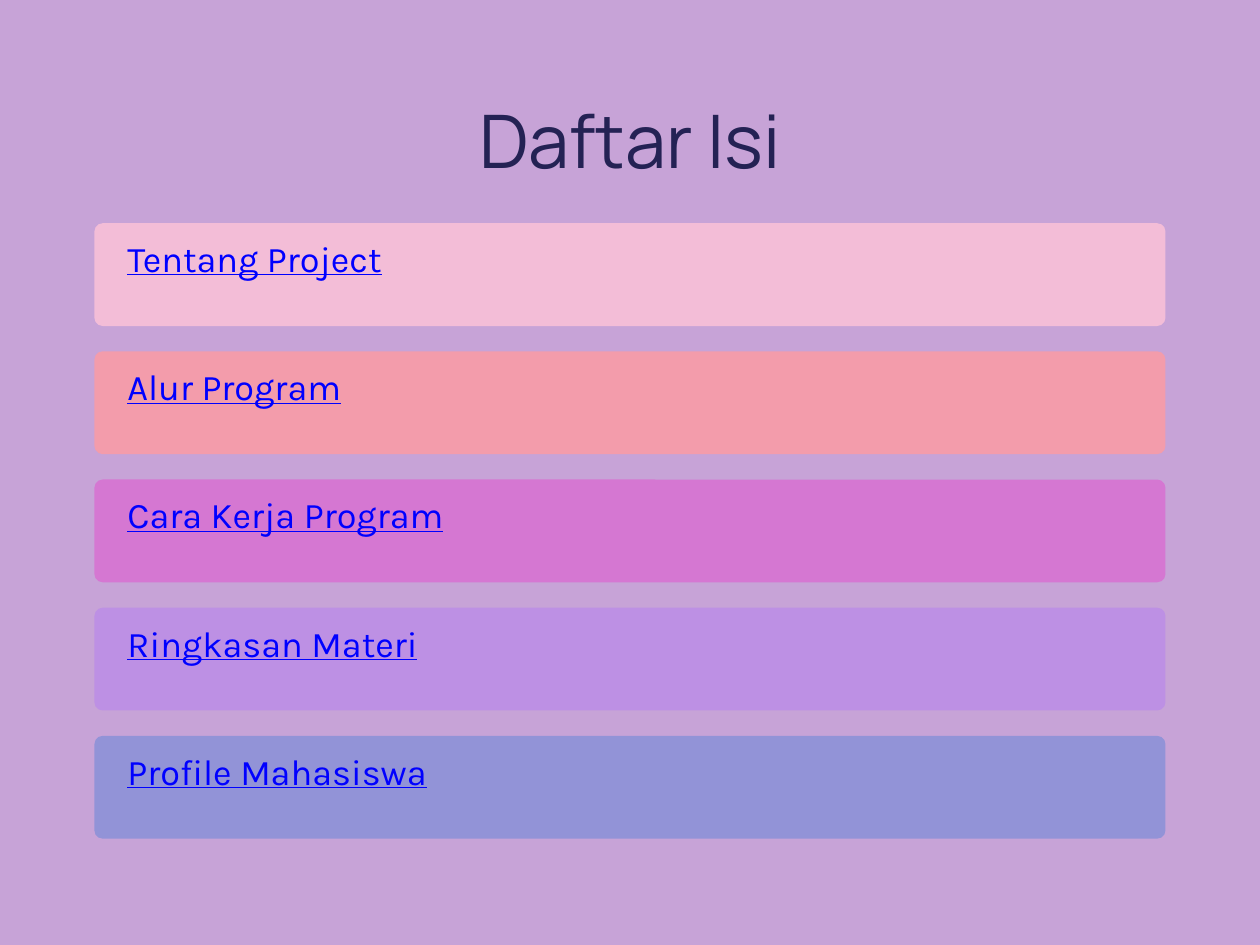
"""Build the "Daftar Isi" table of contents slide."""
from pptx import Presentation
from pptx.dml.color import RGBColor
from pptx.enum import shapes, text
from pptx.util import Inches, Pt

BACKGROUND = RGBColor(0xC7, 0xA3, 0xD7)
NAVY = RGBColor(0x24, 0x22, 0x54)
LINK_BLUE = RGBColor(0x00, 0x00, 0xFF)

TITLE = "Daftar Isi"
ENTRIES = [
    ("Tentang Project", RGBColor(0xF3, 0xBD, 0xD7)),
    ("Alur Program", RGBColor(0xF3, 0x9C, 0xAB)),
    ("Cara Kerja Program", RGBColor(0xD5, 0x77, 0xD2)),
    ("Ringkasan Materi", RGBColor(0xBD, 0x90, 0xE4)),
    ("Profile Mahasiswa", RGBColor(0x92, 0x93, 0xD7)),
]

LEFT, WIDTH = 0.8, 9.07
FIRST_BOTTOM, LAST_BOTTOM = 2.76, 7.1
PITCH = (LAST_BOTTOM - FIRST_BOTTOM) / (len(ENTRIES) - 1)
BAR_HEIGHT, LABEL_HEIGHT = 0.87, 1.21
CORNER, PADDING = 0.07, 0.28


def add_text(parent, box, wording, font_name, size, color, spacing, inset=0):
    """Add a one-line text box and return it."""
    shape = parent.add_textbox(*map(Inches, box))
    frame = shape.text_frame
    frame.word_wrap = True
    frame.margin_left = frame.margin_right = Inches(inset)
    frame.margin_top = frame.margin_bottom = Inches(inset)
    frame.text = wording
    paragraph = frame.paragraphs[0]
    paragraph.line_spacing = Pt(spacing)
    font = paragraph.runs[0].font
    font.name, font.size = font_name, Pt(size)
    font.color.rgb = color
    return shape


def add_entry(slide, bottom, wording, color):
    """Add one coloured bar with its underlined label."""
    group = slide.shapes.add_group_shape().shapes
    bar_box = (LEFT, bottom - BAR_HEIGHT, WIDTH, BAR_HEIGHT)
    bar = group.add_shape(shapes.MSO_SHAPE.ROUNDED_RECTANGLE, *map(Inches, bar_box))
    bar.adjustments[0] = CORNER / BAR_HEIGHT
    bar.shadow.inherit = False
    bar.fill.solid()
    bar.fill.fore_color.rgb = color
    bar.line.fill.background()

    label_box = (LEFT, bottom - LABEL_HEIGHT, WIDTH, LABEL_HEIGHT)
    label = add_text(group, label_box, wording, "Karla", 22, LINK_BLUE, 30.8, PADDING)
    label.text_frame.vertical_anchor = text.MSO_ANCHOR.MIDDLE
    label.text_frame.paragraphs[0].runs[0].font.underline = True


def main():
    """Assemble and save the presentation."""
    presentation = Presentation()
    presentation.slide_width, presentation.slide_height = Inches(10.67), Inches(8)
    slide = presentation.slides.add_slide(presentation.slide_layouts[6])
    slide.background.fill.solid()
    slide.background.fill.fore_color.rgb = BACKGROUND

    title = add_text(slide.shapes, (3.04, 0.8, 4.59, 0.75), TITLE, "Manrope", 45, NAVY, 54)
    title.text_frame.auto_size = text.MSO_AUTO_SIZE.SHAPE_TO_FIT_TEXT
    title.text_frame.paragraphs[0].alignment = text.PP_ALIGN.CENTER

    for index, (wording, color) in enumerate(ENTRIES):
        add_entry(slide, FIRST_BOTTOM + index * PITCH, wording, color)

    presentation.save("out.pptx")


if __name__ == "__main__":
    main()
